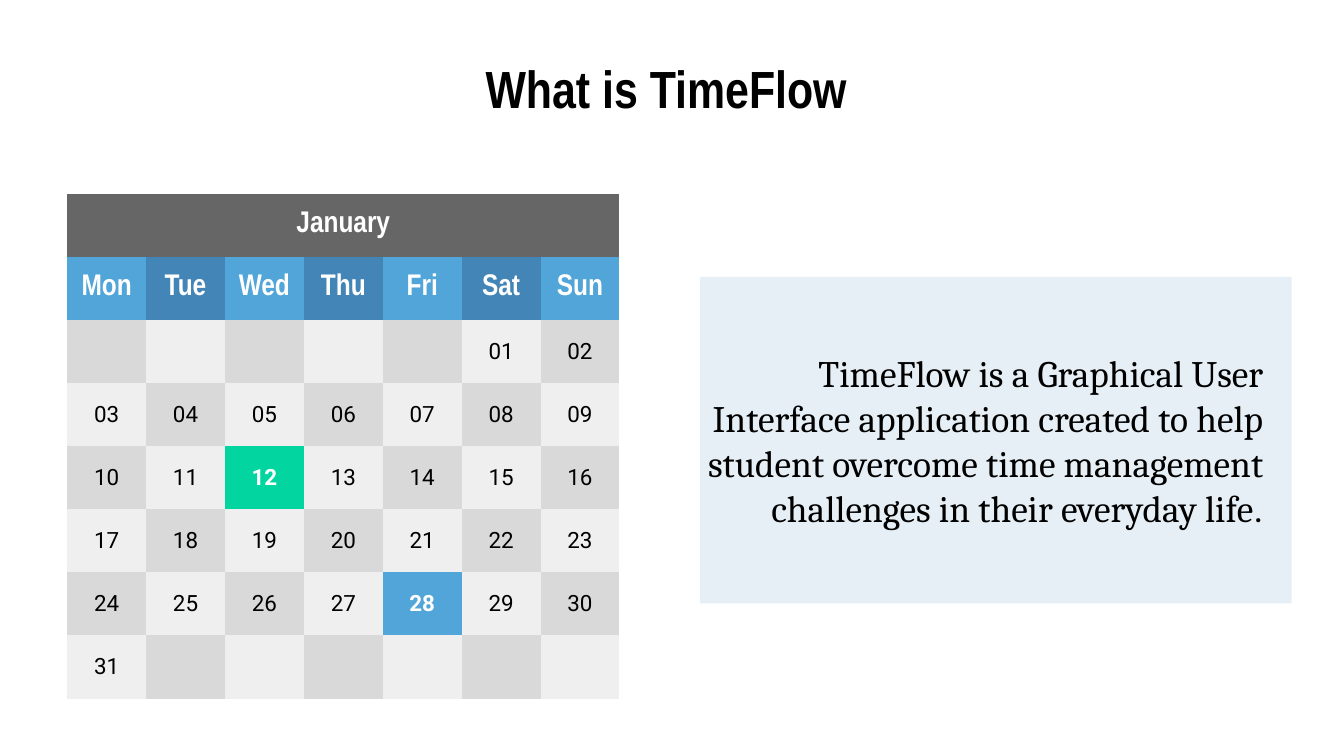
"""Build the TimeFlow slide with a month calendar and a summary panel."""
from dataclasses import dataclass

from lxml.etree import SubElement
from pptx import Presentation
from pptx.dml.color import RGBColor
from pptx.enum.shapes import MSO_SHAPE
from pptx.enum.text import MSO_ANCHOR, MSO_AUTO_SIZE, PP_ALIGN
from pptx.oxml.ns import qn
from pptx.slide import Slide
from pptx.util import Inches, Pt


@dataclass(frozen=True)
class Theme:
    """Colours, fonts and type sizes of the slide."""
    ink: str = "000000"
    white: str = "FFFFFF"
    month: str = "666666"
    sky: str = "51A5D8"
    blue: str = "4385B6"
    green: str = "02D5A0"
    dark: str = "D9D9D9"
    light: str = "EFEFEF"
    head: str = "Arial Narrow"
    serif: str = "Cambria"
    sans: str = "Roboto"
    title: int = 28
    label: int = 16
    body: int = 20
    day: int = 12


THEME = Theme()
DAYS = ("Mon", "Tue", "Wed", "Thu", "Fri", "Sat", "Sun")
MARKS = {12: THEME.green, 28: THEME.sky}
WEEKS, START, LAST = 6, 5, 31
COL, ROW = 4.11 / len(DAYS), 0.47


@dataclass(frozen=True)
class Box:
    """Place and size in inches."""
    left: float
    top: float
    width: float
    height: float

    def spans(self) -> tuple:
        """Return the four lengths."""
        return tuple(map(Inches, (self.left, self.top, self.width, self.height)))


@dataclass(frozen=True)
class Run:
    """A piece of text with one look."""
    text: str
    font: str
    size: int
    color: str = THEME.ink
    bold: bool = False


@dataclass(frozen=True)
class Cell:
    """A calendar cell."""
    fill: str
    run: Run | None = None


def write(frame, runs: list[Run], align: PP_ALIGN) -> None:
    """Fill a text frame run by run."""
    para = frame.paragraphs[0]
    para.alignment = align
    for item in runs:
        run = para.add_run()
        run.text = item.text
        run.font.name = item.font
        run.font.size = Pt(item.size)
        run.font.bold = item.bold
        run.font.color.rgb = RGBColor.from_string(item.color)


def pad(frame) -> None:
    """Set even insets."""
    frame.margin_left = frame.margin_right = Inches(0.1)
    frame.margin_top = frame.margin_bottom = Inches(0.1)


def setup(frame) -> None:
    """Make a text frame wrap, padded and centred upright."""
    pad(frame)
    frame.word_wrap = True
    frame.auto_size = MSO_AUTO_SIZE.NONE
    frame.vertical_anchor = MSO_ANCHOR.MIDDLE


def add_panel(slide: Slide, box: Box) -> None:
    """Draw the pale panel."""
    panel = slide.shapes.add_shape(MSO_SHAPE.ROUNDED_RECTANGLE, *box.spans())
    panel.adjustments[0] = 0
    panel.shadow.inherit = False
    panel.line.fill.background()
    panel.fill.solid()
    panel.fill.fore_color.rgb = RGBColor.from_string(THEME.blue)
    tone = next(panel.element.iter(qn("a:srgbClr")))
    SubElement(tone, qn("a:alpha"), val="13000")


def add_title(slide: Slide, box: Box, run: Run) -> None:
    """Place and fill the title."""
    title = slide.shapes.title
    title.left, title.top, title.width, title.height = box.spans()
    setup(title.text_frame)
    write(title.text_frame, [run], PP_ALIGN.CENTER)


def add_text(slide: Slide, box: Box, runs: list[Run]) -> None:
    """Add the summary text."""
    frame = slide.shapes.add_textbox(*box.spans()).text_frame
    setup(frame)
    write(frame, runs, PP_ALIGN.RIGHT)


def label(text: str) -> Run:
    """Return a heading run."""
    return Run(text, THEME.head, THEME.label, THEME.white, True)


def day_cell(week: int, col: int) -> Cell:
    """Work out the cell for a week and weekday."""
    day = week * len(DAYS) + col - START + 1
    shade = THEME.light if (week + col) % 2 else THEME.dark
    if not 1 <= day <= LAST:
        return Cell(shade)
    mark = day in MARKS
    color = THEME.white if mark else THEME.ink
    run = Run(f"{day:02}", THEME.sans, THEME.day, color, mark)
    return Cell(MARKS.get(day, shade), run)


def paint(cell, item: Cell) -> None:
    """Fill a table cell and write its text."""
    cell.fill.solid()
    cell.fill.fore_color.rgb = RGBColor.from_string(item.fill)
    if item.run:
        pad(cell)
        cell.vertical_anchor = MSO_ANCHOR.MIDDLE
        write(cell.text_frame, [item.run], PP_ALIGN.CENTER)


def add_month(slide: Slide, box: Box, name: str) -> None:
    """Add the calendar table."""
    cols, rows = len(DAYS), WEEKS + 2
    shape = slide.shapes.add_table(rows, cols, *box.spans())
    style = next(shape.element.iter(qn("a:tableStyleId")))
    style.text = "{2D5ABB26-0587-4C30-8999-92F81FD0307C}"
    table = shape.table
    table.first_row = table.horz_banding = False
    for col in table.columns:
        col.width = Inches(COL)
    for row in table.rows:
        row.height = Inches(ROW)
    shape.width, shape.height = box.spans()[2:]
    table.cell(0, 0).merge(table.cell(0, cols - 1))
    paint(table.cell(0, 0), Cell(THEME.month, label(name)))
    for col, day in enumerate(DAYS):
        tone = THEME.blue if col % 2 else THEME.sky
        paint(table.cell(1, col), Cell(tone, label(day)))
        for week in range(WEEKS):
            paint(table.cell(week + 2, col), day_cell(week, col))


def main() -> None:
    """Build and save the slide."""
    deck = Presentation()
    deck.slide_width, deck.slide_height = Inches(10), Inches(10 * 9 / 16)
    slide = deck.slides.add_slide(deck.slide_layouts[5])
    add_panel(slide, Box(5.21, 2.06, 4.4, 2.43))
    add_title(slide, Box(0.5, 0.45, 9, 0.41),
              Run("What is TimeFlow ", THEME.head, THEME.title, bold=True))
    add_month(slide, Box(0.5, 1.44, 3.28, 3.28), "January")
    about = ("TimeFlow is a Graphical User Interface application created to help "
             "student overcome time management challenges in their everyday life")
    add_text(slide, Box(4.91, 2.43, 4.59, 1.69),
             [Run(about, THEME.serif, THEME.body), Run(".", THEME.sans, THEME.body)])
    deck.save("out.pptx")


if __name__ == "__main__":
    main()
